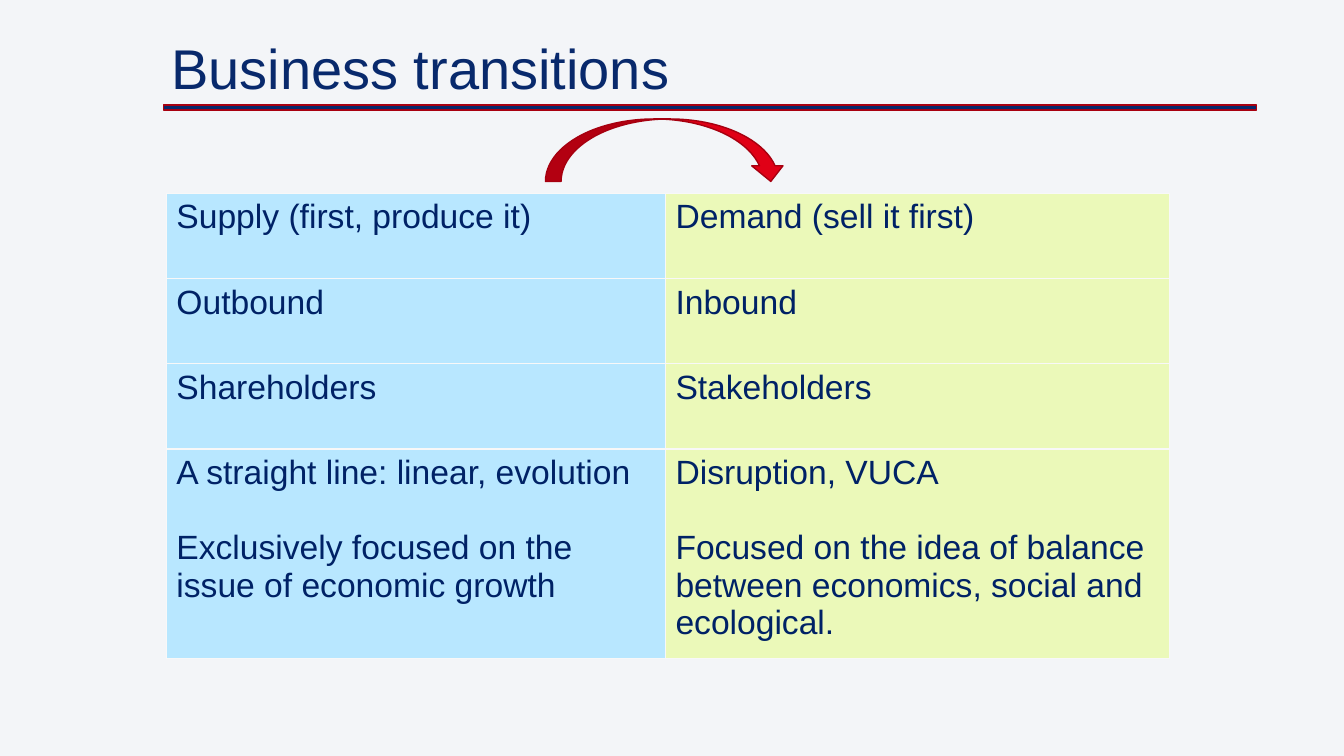
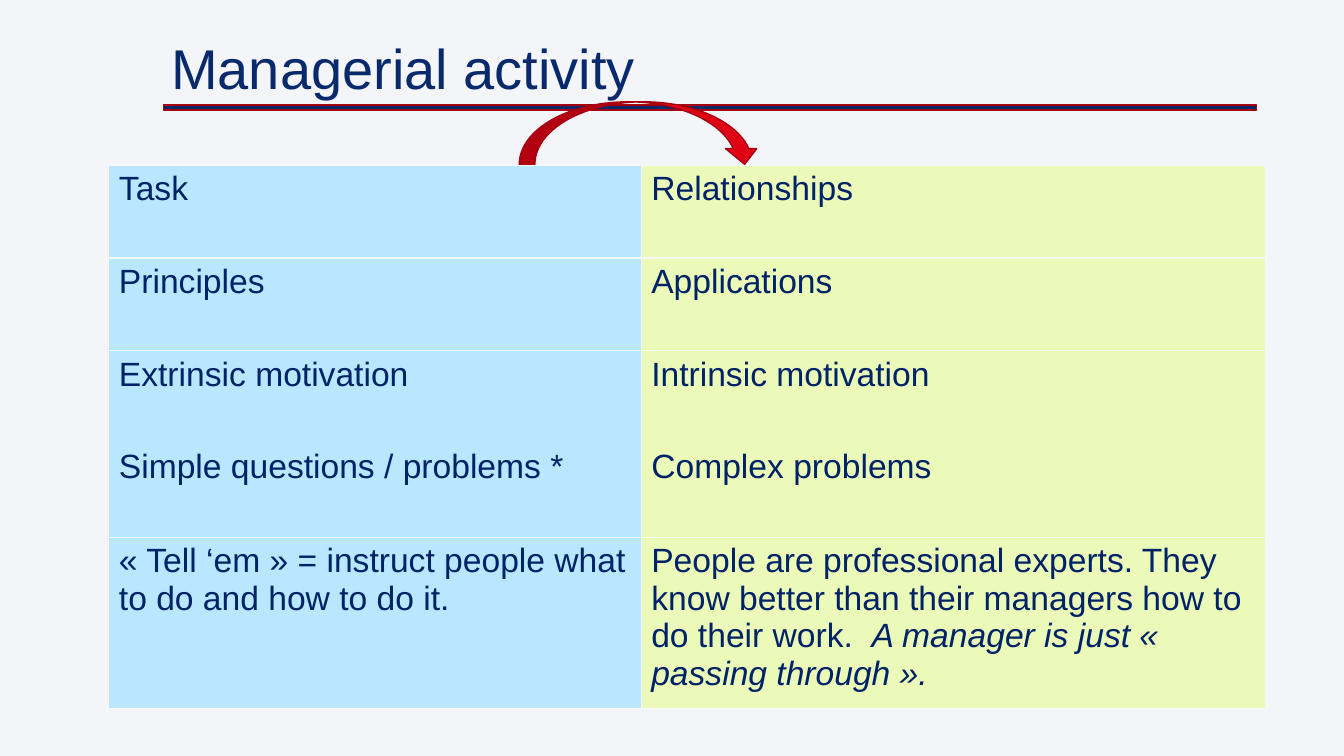
from dataclasses import dataclass

from lxml.etree import SubElement
from pptx import Presentation
from pptx.dml.color import RGBColor
from pptx.enum.shapes import MSO_SHAPE
from pptx.enum.text import MSO_ANCHOR
from pptx.oxml.ns import qn
from pptx.util import Inches, Pt


@dataclass(frozen=True)
class Theme:
    font: str = "Arial"
    background: str = "F3F5F8"
    title: str = "08296C"
    text: str = "002266"
    rule_line: str = "A80010"
    arrow: str = "E00016"
    arrow_line: str = "A60010"
    border: str = "F8F8F8"
    columns: tuple = ("B8E7FF", "EBF9B9")
    title_size: int = 40
    text_size: int = 24
    blank_line: int = 27


class Deck:
    def __init__(self, theme):
        self.theme = theme
        self.slide = None
        self.presentation = Presentation()
        self.presentation.slide_width = Inches(13.33)
        self.presentation.slide_height = Inches(7.5)

    def add_slide(self, title):
        layout = self.presentation.slide_layouts[6]
        self.slide = self.presentation.slides.add_slide(layout)
        fill = self.slide.background.fill
        fill.solid()
        fill.fore_color.rgb = RGBColor.from_string(self.theme.background)
        self.add_shape(MSO_SHAPE.RECTANGLE, 1.62, 1.04, 10.84, 0.05,
                       self.theme.title, self.theme.rule_line)
        self.add_title(title)

    def add_title(self, text):
        box = self.slide.shapes.add_textbox(
            Inches(1.6), Inches(-0.05), Inches(11.15), Inches(1.51))
        frame = box.text_frame
        frame.word_wrap = True
        frame.vertical_anchor = MSO_ANCHOR.MIDDLE
        paragraph = frame.paragraphs[0]
        paragraph.line_spacing = 0.9
        self.add_run(paragraph, text, self.theme.title_size, self.theme.title)

    def add_run(self, paragraph, text, size, color, italic=None):
        run = paragraph.add_run()
        run.text = text
        run.font.name = self.theme.font
        run.font.size = Pt(size)
        run.font.italic = italic
        run.font.color.rgb = RGBColor.from_string(color)

    def add_shape(self, kind, left, top, width, height, fill, line):
        shape = self.slide.shapes.add_shape(
            kind, Inches(left), Inches(top), Inches(width), Inches(height))
        shape.shadow.inherit = False
        shape.fill.solid()
        shape.fill.fore_color.rgb = RGBColor.from_string(fill)
        shape.line.color.rgb = RGBColor.from_string(line)
        shape.line.width = Pt(1)

    def add_arrow(self, left, top):
        self.add_shape(MSO_SHAPE.CURVED_DOWN_ARROW, left, top, 2.39, 0.62,
                       self.theme.arrow, self.theme.arrow_line)

    def add_table(self, left, top, widths, heights, rows, space_after=0):
        table = self.slide.shapes.add_table(
            len(rows), len(widths), Inches(left), Inches(top),
            Inches(sum(widths)), Inches(sum(heights))).table
        table.first_row = False
        table.horz_banding = False
        for column, width in zip(table.columns, widths):
            column.width = Inches(width)
        for row, height, contents in zip(table.rows, heights, rows):
            row.height = Inches(height)
            for cell, content, fill in zip(row.cells, contents, self.theme.columns):
                self.fill_cell(cell, content, fill, space_after)

    def fill_cell(self, cell, content, fill, space_after):
        self.add_borders(cell)
        cell.fill.solid()
        cell.fill.fore_color.rgb = RGBColor.from_string(fill)
        for index, runs in enumerate(content):
            frame = cell.text_frame
            paragraph = frame.add_paragraph() if index else frame.paragraphs[0]
            paragraph.space_after = Pt(space_after)
            if index:
                paragraph.space_before = Pt(self.theme.blank_line + space_after)
            for text, italic in runs:
                self.add_run(paragraph, text, self.theme.text_size,
                             self.theme.text, italic)

    def add_borders(self, cell):
        properties = cell._tc.get_or_add_tcPr()
        for side in ("a:lnL", "a:lnR", "a:lnT", "a:lnB"):
            line = SubElement(properties, qn(side), w=str(Pt(1)))
            fill = SubElement(line, qn("a:solidFill"))
            SubElement(fill, qn("a:srgbClr"), val=self.theme.border)


def plain(*texts):
    return [[(text, None)] for text in texts]


def main():
    deck = Deck(Theme())

    deck.add_slide("Business transitions")
    deck.add_table(1.65, 1.92, (4.95, 5), (0.845, 0.845, 0.845, 1.95), [
        (plain("Supply (first, produce it)"), plain("Demand (sell it first)")),
        (plain("Outbound"), plain("Inbound")),
        (plain("Shareholders"), plain("Stakeholders")),
        (plain("A straight line: linear, evolution",
               "Exclusively focused on the issue of economic growth"),
         plain("Disruption, VUCA",
               "Focused on the idea of balance between economics, "
               "social and ecological.")),
    ])
    deck.add_arrow(5.41, 1.18)

    deck.add_slide("Managerial activity")
    deck.add_table(1.08, 1.64, (5.28, 6.19), (0.92, 0.92, 1.85, 1.58), [
        (plain("Task"), plain("Relationships")),
        (plain("Principles"), plain("Applications")),
        (plain("Extrinsic motivation", "Simple questions / problems *"),
         plain("Intrinsic motivation", "Complex problems")),
        (plain("« Tell ‘em » = instruct people what to do and how to do it."),
         [[("People are professional experts. They know better than their "
            "managers how to do their work.  ", None),
           ("A manager is just « passing through ».", True)]]),
    ], space_after=6)
    deck.add_arrow(5.15, 1.01)

    deck.presentation.save("out.pptx")


if __name__ == "__main__":
    main()
